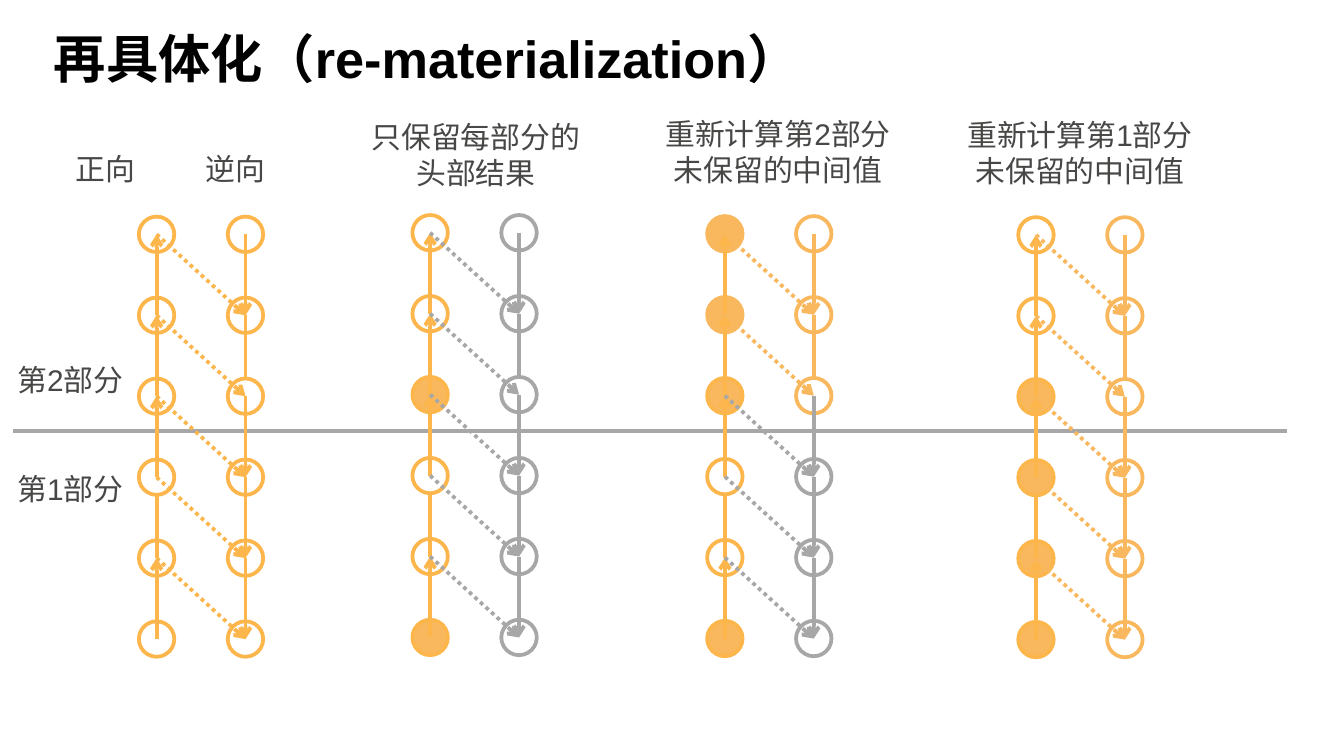
from pptx import Presentation
from pptx.dml.color import RGBColor as RGB
from pptx.enum.dml import MSO_LINE as Dash
from pptx.enum.shapes import MSO_CONNECTOR as Conn, MSO_SHAPE as Shape
from pptx.enum.text import MSO_ANCHOR as Anchor, PP_ALIGN as Align
from pptx.oxml.xmlchemy import OxmlElement as Elem
from pptx.util import Cm, Pt

THEME = dict(
    font="Arial", title=28, body=16, line=2,
    black="000000", text="474746", white="FFFFFF",
    gold="FCB64C", amber="F9B85E", gray="A7A7A7",
)

# Content: text and box in cm (left, top, width, height)
TITLE = ("再具体化（re-materialization）", (0.89, 0.33, 22.78, 1.52))
LABELS = [
    ("正向", (1.3, 2.72, 1.4, 0.94), False),
    ("逆向", (3.76, 2.72, 1.4, 0.94), False),
    ("第2部分", (0.2, 6.71, 2.29, 0.94), True),
    ("第1部分", (0.2, 8.76, 2.29, 0.94), True),
]
SPLIT = (0.25, 8.15, 24.33, 8.15)

# Forward marks, top to bottom: o empty, k kept, r recomputed
MARKS = {"o": ("white", "gold"), "k": ("amber", "gold"), "r": ("amber", "amber")}
PANELS = [
    dict(x=2.96, y=4.43, marks="oooooo", back=["gold"] * 6, head=None),
    dict(x=8.13, y=4.4, marks="ookook", back=["gray"] * 6,
         head=("只保留每部分的\n头部结果", (6.05, 2.11, 5.89, 1.63))),
    dict(x=13.7, y=4.42, marks="rrkook", back=["amber"] * 3 + ["gray"] * 3,
         head=("重新计算第2部分未保留的中间值", (12.29, 2.06, 4.83, 1.63))),
    dict(x=19.58, y=4.44, marks="ookkkk", back=["amber"] * 6,
         head=("重新计算第1部分未保留的中间值", (18.11, 2.08, 4.6, 1.63))),
]
STEP, GAP, SIZE = 1.53, 1.68, 0.67

# Stacking along the flow: nodes to draw, then links leaving these nodes
LAYERS = [((0, 1), (1,)), ((2, 3, 4), (0, 2, 3)), ((5,), (4,))]


def color(name):
    return RGB.from_string(THEME[name])


def write(root, text, box, size="body", tone="text", bold=False,
          align=Align.LEFT, anchor=Anchor.TOP, wrap=True):
    frame = root.add_textbox(*map(Cm, box)).text_frame
    frame.word_wrap = wrap
    frame.vertical_anchor = anchor
    frame.margin_left = frame.margin_right = Cm(0.13)
    frame.margin_top = frame.margin_bottom = Cm(0.13)
    frame.text = text
    for para in frame.paragraphs:
        para.alignment = align
        font = para.runs[0].font
        font.name, font.size, font.bold = THEME["font"], Pt(THEME[size]), bold
        font.color.rgb = color(tone)


def node(root, x, y, fill, edge):
    dot = root.add_shape(Shape.OVAL, Cm(x - SIZE / 2), Cm(y - SIZE / 2),
                         Cm(SIZE), Cm(SIZE))
    dot.shadow.inherit = False
    dot.fill.solid()
    dot.fill.fore_color.rgb = color(fill)
    dot.line.color.rgb = color(edge)
    dot.line.width = Pt(THEME["line"])


def link(root, ends, tone, arrow=True, dots=False):
    wire = root.add_connector(Conn.STRAIGHT, *map(Cm, ends))
    wire.line.color.rgb = color(tone)
    wire.line.width = Pt(THEME["line"])
    if dots:
        wire.line.dash_style = Dash.ROUND_DOT
    if arrow:
        tip = Elem("a:tailEnd")
        tip.set("type", "arrow")
        wire.line._get_or_add_ln().append(tip)
    wire._element.spPr.append(Elem("a:effectLst"))


def chain(root, spots, looks):
    """Draw one column of nodes in flow order, with its arrows."""
    for nodes, starts in LAYERS:
        for i in nodes:
            node(root, *spots[i], *looks[i])
        for i in starts:
            link(root, spots[i] + spots[i + 1], looks[i + 1][1]
                 if looks[i + 1][1] == "gray" or root_tone(looks) is None
                 else root_tone(looks))


def root_tone(looks):
    """Forward columns hold gold nodes, and all their arrows are gold."""
    return "gold" if any(edge == "gold" for _, edge in looks) else None


def panel(root, x, y, marks, back, head):
    rows = [y + i * STEP for i in range(len(marks))]
    left = [(x, row) for row in rows]
    right = [(x + GAP, row) for row in rows]
    # Forward runs upward, backward runs downward
    chain(root, left[::-1], [MARKS[m] for m in marks[::-1]])
    chain(root, right, [("white", tone) for tone in back])
    # Stored values feed the next backward step
    for start, end, tone in zip(left, right[1:], back[1:]):
        link(root, start + end, tone, dots=True)
    if head:
        write(root, *head, align=Align.CENTER)


def main():
    deck = Presentation()
    deck.slide_width, deck.slide_height = Cm(25.4), Cm(14.29)
    root = deck.slides.add_slide(deck.slide_layouts[6]).shapes

    # Title, labels and the line between the two parts
    write(root, *TITLE, size="title", tone="black", bold=True,
          anchor=Anchor.MIDDLE)
    for text, box, wrap in LABELS:
        write(root, text, box, wrap=wrap)
    link(root, SPLIT, "gray", arrow=False)

    # Four stages
    for part in PANELS:
        panel(root.add_group_shape().shapes if part["head"] else root, **part)

    deck.save("out.pptx")


if __name__ == "__main__":
    main()
